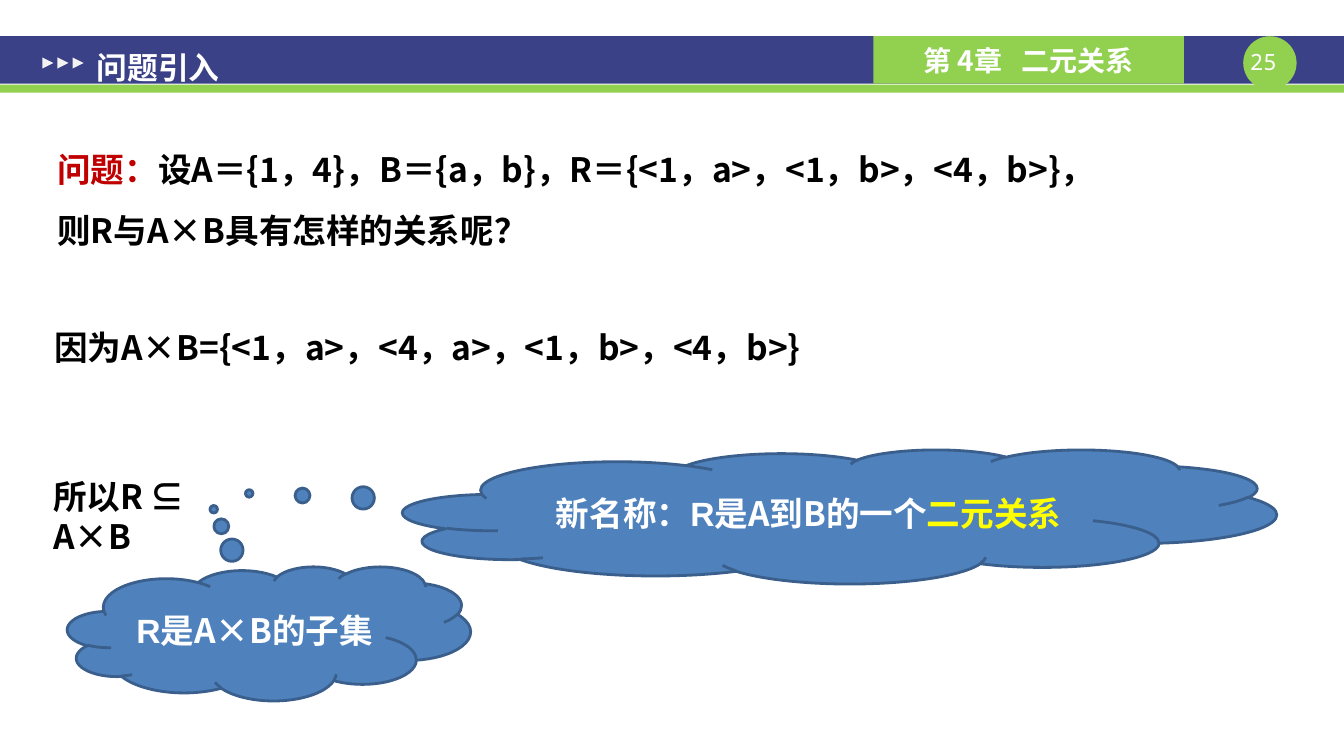
import pptx
import pptx.dml.color
import pptx.enum.shapes
import pptx.enum.text
import pptx.oxml.ns
import pptx.util
from lxml import etree

SHAPE = pptx.enum.shapes.MSO_SHAPE
ALIGN = pptx.enum.text.PP_ALIGN
ANCHOR = pptx.enum.text.MSO_ANCHOR
AUTO_SIZE = pptx.enum.text.MSO_AUTO_SIZE

EMU_PER_PX = 9144  # 100 px to the inch
CJK = "Noto Sans CJK SC"
COLORS = {
    "navy": "3A4187",
    "green": "92D050",
    "arrow": "F2F2F2",
    "cloud": "4F81BD",
    "cloud_edge": "3A5F8C",
    "white": "FFFFFF",
    "black": "000000",
    "red": "C00000",
    "yellow": "FFFF00",
}


def px(length):
    return pptx.util.Emu(length * EMU_PER_PX)


def rgb(name):
    return pptx.dml.color.RGBColor.from_string(COLORS[name])


class SlideBuilder:
    """Holds the text style and the current slide."""

    def __init__(self, presentation):
        self.slide = presentation.slides.add_slide(presentation.slide_layouts[6])
        self.style = {"size": 24, "name": CJK, "bold": True, "color": "black"}

    def shape(self, kind, box, fill, edge=None, rotation=0):
        shape = self.slide.shapes.add_shape(kind, *map(px, box))
        shape.shadow.inherit = False
        shape.rotation = rotation
        shape.fill.solid()
        shape.fill.fore_color.rgb = rgb(fill)
        if edge:
            shape.line.color.rgb = rgb(edge)
            shape.line.width = pptx.util.Pt(2)
        else:
            shape.line.fill.background()
        return shape

    def add_run(self, paragraph, text, changes):
        style = {**self.style, **changes}
        run = paragraph.add_run()
        run.text = text
        values = {"size": pptx.util.Pt(style["size"]), "name": style["name"], "bold": style["bold"]}
        for attribute, value in values.items():
            setattr(run.font, attribute, value)
        run.font.color.rgb = rgb(style["color"])
        properties = run.font._element
        if "spacing" in style:
            properties.set("spc", str(style["spacing"] * 100))
        east_asian = etree.SubElement(properties, pptx.oxml.ns.qn("a:ea"))
        east_asian.set("typeface", CJK)

    def fill_text(self, shape, paragraphs, align=ALIGN.LEFT, line_spacing=1.0, **frame_format):
        """Each paragraph is a list of (text, style changes) runs."""
        frame = shape.text_frame
        for attribute, value in {"word_wrap": True, **frame_format}.items():
            setattr(frame, attribute, value)
        for index, runs in enumerate(paragraphs):
            paragraph = frame.add_paragraph() if index else frame.paragraphs[0]
            paragraph.alignment = align
            paragraph.line_spacing = line_spacing
            for text, changes in runs:
                self.add_run(paragraph, text, changes)

    def text(self, box, paragraphs, margins=(10, 5, 10, 5), **options):
        shape = self.slide.shapes.add_textbox(*map(px, box))
        sides = ("margin_left", "margin_top", "margin_right", "margin_bottom")
        options.update(zip(sides, map(px, margins)))
        self.fill_text(shape, paragraphs, **options)

    def thought(self, box, tail, runs):
        cloud = self.shape(SHAPE.CLOUD_CALLOUT, box, "cloud", "cloud_edge")
        for index, value in enumerate(tail):
            cloud.adjustments[index] = value
        self.fill_text(cloud, [runs], ALIGN.CENTER, vertical_anchor=ANCHOR.MIDDLE)


def main():
    presentation = pptx.Presentation()
    presentation.slide_width, presentation.slide_height = px(1334), px(750)
    builder = SlideBuilder(presentation)
    white = {"color": "white"}
    arial = {"color": "white", "name": "Arial"}
    grow = AUTO_SIZE.SHAPE_TO_FIT_TEXT

    # Header bar and page number
    builder.shape(SHAPE.RECTANGLE, (0, 36, 1334, 47), "navy")
    builder.shape(SHAPE.RECTANGLE, (0, 84, 1334, 8), "green")
    builder.shape(SHAPE.OVAL, (1234, 36, 53, 53), "green")
    number_style = {"size": 16, "name": "Noto Sans Mono", "bold": False, "color": "white"}
    builder.text((1234, 48, 53, 27), [[("25", number_style)]], margins=(0, 0, 13, 0),
                 align=ALIGN.CENTER, auto_size=grow)

    # Chapter label
    chapter = builder.shape(SHAPE.RECTANGLE, (867, 36, 308, 47), "green")
    label = {"size": 20, "color": "white"}
    label_runs = [("第 4章", label), (" ", {**label, "spacing": 9}), ("二元关系", label)]
    builder.fill_text(chapter, [label_runs], ALIGN.CENTER, vertical_anchor=ANCHOR.MIDDLE)

    # Section title with its three arrows
    for index in range(3):
        builder.shape(SHAPE.ISOSCELES_TRIANGLE, (42 + 15 * index, 57, 11, 11), "arrow", rotation=90)
    builder.text((92, 33, 131, 51), [[("问题引入", {"size": 22, "color": "white"})]],
                 margins=(4, 4, 4, 4), line_spacing=1.3, word_wrap=False, auto_size=grow)

    # Question and reasoning
    question = [
        [("问题：", {"color": "red"}),
         ("设A＝{1，4}，B＝{a，b}，R＝{<1，a>，<1，b>，<4，b>}，", {})],
        [("则R与A×B具有怎样的关系呢？", {})],
    ]
    builder.text((44, 121, 1240, 136), question, margins=(13, 7, 13, 7), line_spacing=1.5)
    builder.text((44, 319, 892, 50), [[("因为A×B={<1，a>，<4，a>，<1，b>，<4，b>}", {})]], auto_size=grow)
    builder.text((43, 467, 229, 50), [[("所以R ⊆ A×B", {})]], auto_size=grow)

    # Thought clouds
    builder.thought((67, 562, 400, 133), (-0.137, -0.927),
                    [("R", arial), ("是A×B的子集", white)])
    builder.thought((400, 446, 867, 133), (-0.676, -0.172),
                    [("新名称：R", arial), ("是A到B的一个", white), ("二元关系", {"color": "yellow"})])

    presentation.save("out.pptx")


if __name__ == "__main__":
    main()
